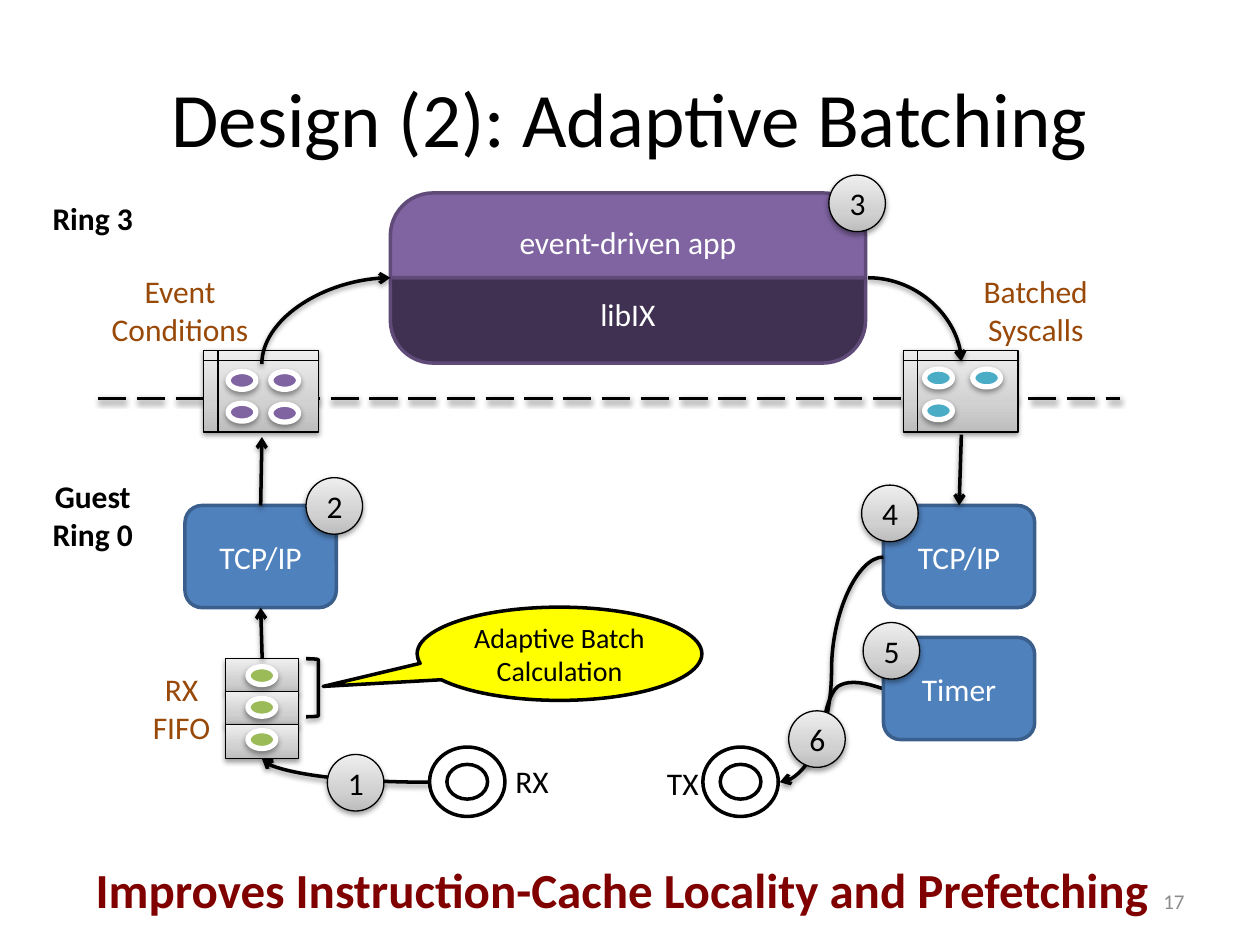
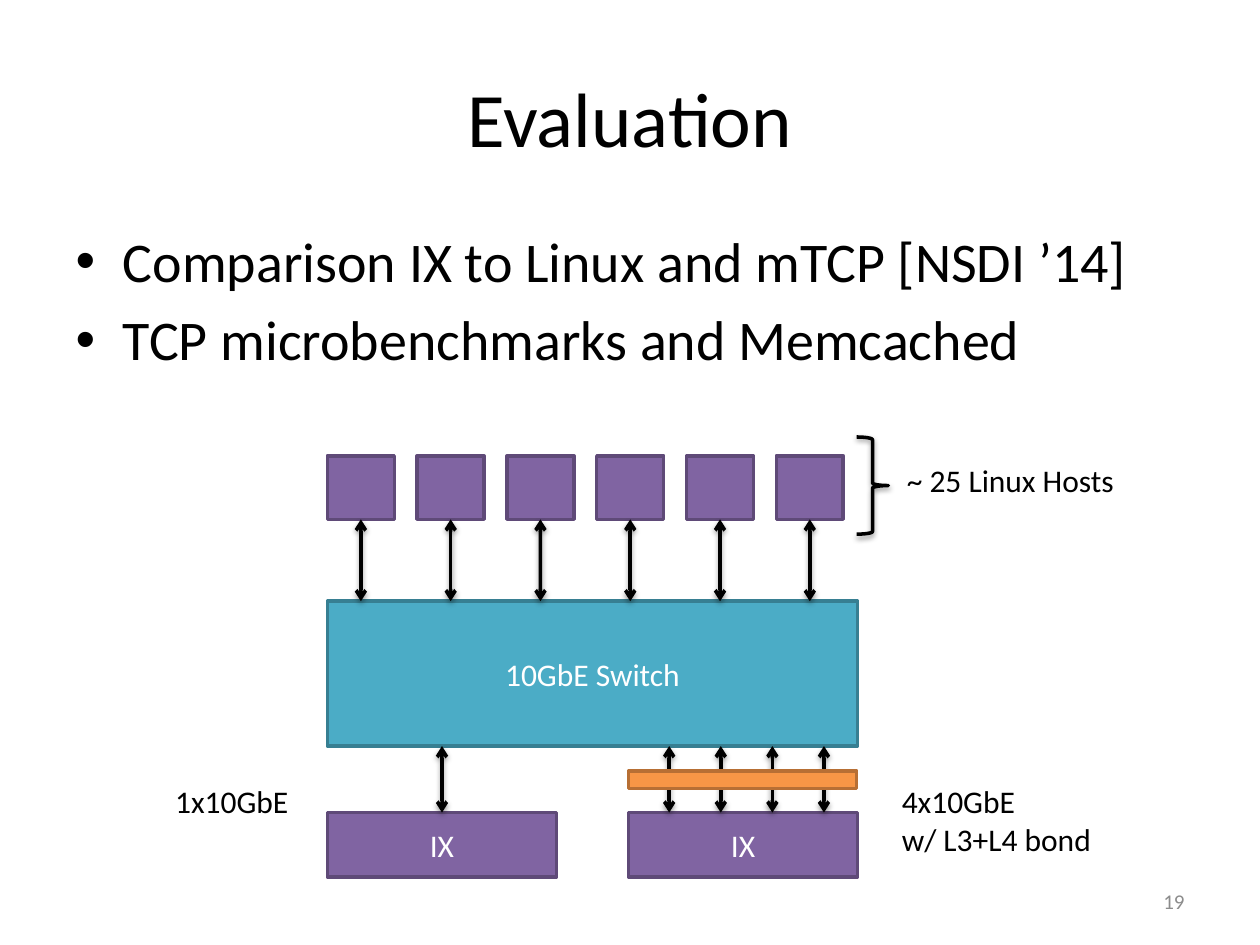
from copy import deepcopy

from lxml import etree
from pptx import Presentation
from pptx import util as u
from pptx.dml.color import RGBColor
from pptx.enum import dml, shapes, text
from pptx.oxml.ns import qn

Cm, Pt = u.Cm, u.Pt
Kind, Wire = shapes.MSO_SHAPE, shapes.MSO_CONNECTOR
Align = text.PP_ALIGN

FONT = "Calibri"
HUES = {
    "black": "000000", "white": "FFFFFF", "grey": "8C8C8C",
    "blue": "4F81BD", "navy": "3A5F8C", "plum": "8064A2", "grape": "5F4A78",
    "night": "403152", "teal": "4BACC6", "sea": "377F92", "green": "9BBB59",
    "amber": "F79646", "rust": "B76F34", "brown": "984807", "red": "800000",
    "gold": "FFFF00", "dim": "BDBDBD", "mid": "D1D1D1", "pale": "EEEEEE",
}
STEEL = [(0, "dim"), (0.35, "mid"), (1, "pale")]

# All places and sizes are in centimetres.
# Slide 1
APP, LIB = (7.87, 3.89, 9.58, 1.72), (7.87, 5.6, 9.58, 1.72)
RINGS = [(8.66, 15.06), (14.17, 15.06)]
STAGES = {"in": ("TCP/IP", 3.73, 10.19), "out": ("TCP/IP", 17.81, 10.19),
          "timer": ("Timer", 17.81, 12.85)}
QUEUES = [(4.11, 7.06), (18.21, 7.06)]
SLOTS = 3
BADGES = [(6.6, 15.21), (6.17, 9.63), (16.71, 3.53),
          (17.37, 9.78), (17.4, 12.55), (15.9, 14.33)]
DOTS = {
    "green": [(5, 13.44), (5, 14.08), (5, 14.73)],
    "plum": [(4.6, 7.49), (5.46, 7.49), (4.6, 8.13), (5.46, 8.15)],
    "teal": [(18.64, 7.44), (19.61, 7.44), (18.64, 8.1)],
}
# curve preset, from, to, end that has the arrowhead
CURVES = [
    ("curvedConnector2", (7.87, 5.6), (5.28, 7.34), "head"),
    ("curvedConnector2", (17.5, 5.6), (19.38, 7.29), "tail"),
    ("curvedConnector3", (17.81, 11.23), (15.72, 15.77), "tail"),
    ("curvedConnector2", (8.66, 15.77), (5.28, 15.29), "tail"),
]
# the timer's path: start, then control, control, end for each bend
BENDS = [(17.96, 13.94), (17.55, 13.79), (17.15, 13.67), (16.89, 13.84),
         (16.64, 14.05), (16.61, 14.68), (16.48, 15.06)]
NOTES = [  # lines, place, colour, bold
    (["RX"], (10.13, 15.24, 1.19, 1.02), "black", False),
    (["TX"], (13.18, 15.27, 1.17, 1.02), "black", False),
    (["RX", "FIFO"], (2.82, 13.39, 1.68, 1.8), "brown", False),
    (["Event", "Conditions"], (1.98, 5.36, 3.3, 1.8), "brown", False),
    (["Batched", "Syscalls"], (19.56, 5.36, 2.64, 1.8), "brown", False),
    (["Ring 3"], (0.79, 3.89, 2.16, 1.02), "black", True),
    (["Guest", "Ring 0"], (0.79, 9.5, 2.16, 1.8), "black", True),
]
CLAIM = "Improves Instruction-Cache Locality and Prefetching"

# Slide 2
POINTS = ["Comparison IX to Linux and mTCP [NSDI ’14]",
          "TCP microbenchmarks and Memcached"]
SWITCH = (6.6, 12.12, 10.69, 2.92)
HOSTS, LINKS = 6, 4
NODES = [(6.6, 16.38, 4.62, 1.3), (12.67, 16.38, 4.62, 1.3)]
TAGS = [
    (["~ 25 Linux Hosts"], (18.03, 9.17, 4.75, 1.02)),
    (["1x10GbE"], (3.28, 15.65, 2.82, 1.02)),
    (["4x10GbE", "w/ L3+L4 bond"], (17.93, 15.65, 4.37, 1.8)),
]


def rgb(hue):
    return RGBColor.from_string(HUES[hue])


def write(frame, lines, size=18, hue="black", bold=False, align=Align.CENTER):
    for i, line in enumerate(lines):
        para = frame.add_paragraph() if i else frame.paragraphs[0]
        if align is not None:
            para.alignment = align
        run = para.add_run()
        run.text = line
        font = run.font
        font.name, font.size, font.bold = FONT, Pt(size), bold
        font.color.rgb = rgb(hue)


def label(slide, lines, at, anchor=text.MSO_ANCHOR.TOP, wrap=False, **look):
    frame = slide.shapes.add_textbox(*map(Cm, at)).text_frame
    frame.word_wrap, frame.vertical_anchor = wrap, anchor
    write(frame, lines, **look)


def shade(item):
    """Give a shape or connector the soft shadow under it."""
    props = item._element.spPr
    glow = props.find(qn("a:effectLst"))
    if glow is None:
        glow = etree.SubElement(props, qn("a:effectLst"))
    drop = etree.SubElement(glow, qn("a:outerShdw"), blurRad=str(Pt(3.1)),
                            dist=str(Pt(1.6)), dir="5400000", rotWithShape="0")
    tint = etree.SubElement(drop, qn("a:srgbClr"), val=HUES["black"])
    etree.SubElement(tint, qn("a:alpha"), val="38000")


def blend(item, stops):
    item.fill.gradient()
    item.fill.gradient_angle = 90
    marks = item._element.spPr.find(".//" + qn("a:gsLst"))
    marks.insert(1, deepcopy(marks[0]))
    for mark, (pos, hue) in zip(item.fill.gradient_stops, stops):
        mark.position, mark.color.rgb = pos, rgb(hue)


def paint(item, fill, edge, width, shadow):
    item.shadow.inherit = False
    if fill is None:
        item.fill.background()
    elif isinstance(fill, list):
        blend(item, fill)
    else:
        item.fill.solid()
        item.fill.fore_color.rgb = rgb(fill)
    item.line.color.rgb, item.line.width = rgb(edge), Pt(width)
    if shadow:
        shade(item)


def shape(slide, kind, at, fill=None, edge="black", width=2, shadow=False,
          lines=(), adj=(), **look):
    item = slide.shapes.add_shape(kind, *map(Cm, at))
    for i, val in enumerate(adj):
        item.adjustments[i] = val
    paint(item, fill, edge, width, shadow)
    if lines:
        item.text_frame.vertical_anchor = text.MSO_ANCHOR.MIDDLE
        write(item.text_frame, lines, **look)
    return item


def steel(slide, kind, at, **more):
    return shape(slide, kind, at, STEEL, width=0.75, shadow=True, **more)


def wire(slide, start, end, tips=("tail",), curve=None, dash=None,
         begin=None, finish=None):
    """Draw a connector; begin and finish are (shape, side) joints."""
    kind = Wire.CURVE if curve else Wire.STRAIGHT
    item = slide.shapes.add_connector(kind, *map(Cm, start + end))
    if curve:
        item._element.spPr.find(qn("a:prstGeom")).set("prst", curve)
    if begin:
        item.begin_connect(*begin)
    if finish:
        item.end_connect(*finish)
    item.line.color.rgb, item.line.width = rgb("black"), Pt(2)
    if dash:
        item.line.dash_style = dash
    for tip in tips:
        etree.SubElement(item.line._get_or_add_ln(), qn(f"a:{tip}End"),
                         type="arrow")
    shade(item)


def trace(slide, knots, steps=12):
    """Draw an open line through cubic bends."""
    dots = []
    for i in range(0, len(knots) - 1, 3):
        for k in range(1, steps + 1):
            t = k / steps
            mix = ((1 - t) ** 3, 3 * t * (1 - t) ** 2,
                   3 * t * t * (1 - t), t ** 3)
            dots.append(tuple(
                Cm(sum(m * knot[axis] for m, knot in zip(mix, knots[i:i + 4])))
                for axis in (0, 1)))
    pen = slide.shapes.build_freeform(*map(Cm, knots[0]))
    pen.add_line_segments(dots, close=False)
    paint(pen.convert_to_shape(), None, "black", 2, True)


def start(deck, layout, title, page):
    slide = deck.slides.add_slide(deck.slide_layouts[layout])
    head = slide.shapes.title
    head.left, head.top, head.width, head.height = map(
        Cm, (1.27, 0.76, 22.86, 3.18))
    head.text_frame.vertical_anchor = text.MSO_ANCHOR.MIDDLE
    write(head.text_frame, [title], 44)
    label(slide, [page], (18.21, 17.65, 5.92, 1.02), text.MSO_ANCHOR.MIDDLE,
          True, size=12, hue="grey", align=Align.RIGHT)
    return slide


def batch(deck):
    slide = start(deck, 5, "Design (2): Adaptive Batching", "17")
    trace(slide, BENDS)
    wire(slide, (1.98, 8.03), (22.58, 8.03), (),
         dash=dml.MSO_LINE.LONG_DASH)
    for at, name, fill, adj in [(APP, "event-driven app", "plum", (0.5, 0)),
                                (LIB, "libIX", "night", (0, 0.5))]:
        shape(slide, Kind.ROUND_2_SAME_RECTANGLE, at, fill, "grape",
              lines=[name], hue="white", adj=adj)
    for ring in RINGS:
        shape(slide, Kind.DONUT, ring + (1.52, 1.4), "white")
    for lines, at, hue, bold in NOTES:
        label(slide, lines, at, hue=hue, bold=bold)

    stage = {key: shape(slide, Kind.ROUNDED_RECTANGLE, (x, y, 3.05, 2.06),
                        "blue", "navy", lines=[name], hue="white")
             for key, (name, x, y) in STAGES.items()}
    for queue in QUEUES:
        steel(slide, Kind.FLOWCHART_INTERNAL_STORAGE, queue + (2.31, 1.65))
    fifo = [steel(slide, Kind.RECTANGLE, (4.55, 13.28 + 0.66 * i, 1.47, 0.69))
            for i in range(SLOTS)]

    wire(slide, (5.28, 13.28), (5.28, 12.25),
         begin=(fifo[0], 0), finish=(stage["in"], 2))
    wire(slide, (5.28, 10.19), (5.28, 8.81), begin=(stage["in"], 0))
    wire(slide, (19.38, 8.76), (19.35, 10.19), finish=(stage["out"], 0))
    for curve, begin, end, tip in CURVES:
        wire(slide, begin, end, (tip,), curve)

    for num, spot in enumerate(BADGES, 1):
        steel(slide, Kind.OVAL, spot + (1.14, 1.14), lines=[str(num)])
    label(slide, [CLAIM], (1.68, 17.2, 22.07, 1.45), size=28, hue="red",
          bold=True, align=Align.LEFT)
    shape(slide, Kind.OVAL_CALLOUT, (8.41, 12.24, 5.74, 1.88), "gold",
          lines=["Adaptive Batch", "Calculation"], size=16,
          adj=(-0.83, 0.35))
    for hue, spots in DOTS.items():
        for spot in spots:
            shape(slide, Kind.OVAL, spot + (0.56, 0.36), hue, "white", 3, True)
    shape(slide, Kind.RIGHT_BRACKET, (6.17, 13.28, 0.25, 1.17), shadow=True)


def setup(deck):
    slide = start(deck, 1, "Evaluation", "19")
    body = slide.placeholders[1]
    body.left, body.top, body.width, body.height = map(
        Cm, (1.27, 4.44, 22.86, 3.76))
    write(body.text_frame, POINTS, 32, align=None)

    both = ("head", "tail")
    shape(slide, Kind.RECTANGLE, SWITCH, "teal", "sea",
          lines=["10GbE Switch"], hue="white")
    top, base = SWITCH[1], SWITCH[1] + SWITCH[3]
    for i in range(HOSTS):
        x = 6.6 + 1.81 * i
        host = shape(slide, Kind.RECTANGLE, (x, 9.19, 1.35, 1.28),
                     "plum", "grape")
        mid = x + 1.35 / 2
        wire(slide, (mid, 10.47), (mid, top), both, begin=(host, 2))
    shape(slide, Kind.RIGHT_BRACE, (17.27, 8.81, 0.64, 1.96), shadow=True)

    nodes = [shape(slide, Kind.RECTANGLE, at, "plum", "grape",
                   lines=["IX"], hue="white") for at in NODES]
    wire(slide, (8.91, base), (8.91, 16.38), both, finish=(nodes[0], 0))
    for i in range(LINKS):
        x = 13.49 + 1.04 * i
        wire(slide, (x, base), (x, 16.38), both)
    shape(slide, Kind.RECTANGLE, (12.67, 15.54, 4.6, 0.36), "amber", "rust")
    for lines, at in TAGS:
        label(slide, lines, at, align=Align.LEFT)


def main():
    deck = Presentation()
    deck.slide_width, deck.slide_height = Cm(25.4), Cm(19.05)
    batch(deck)
    setup(deck)
    deck.save("out.pptx")


if __name__ == "__main__":
    main()
